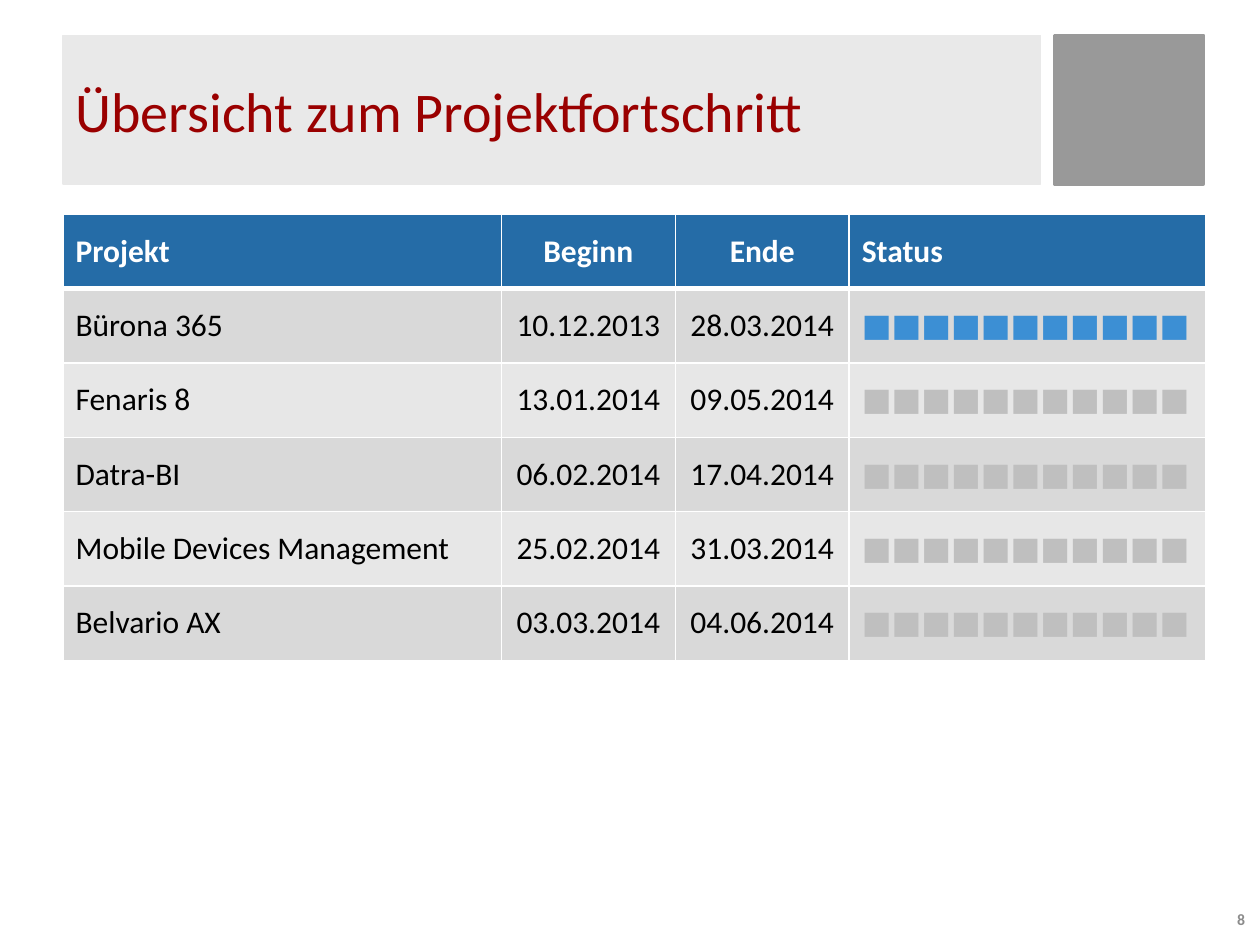
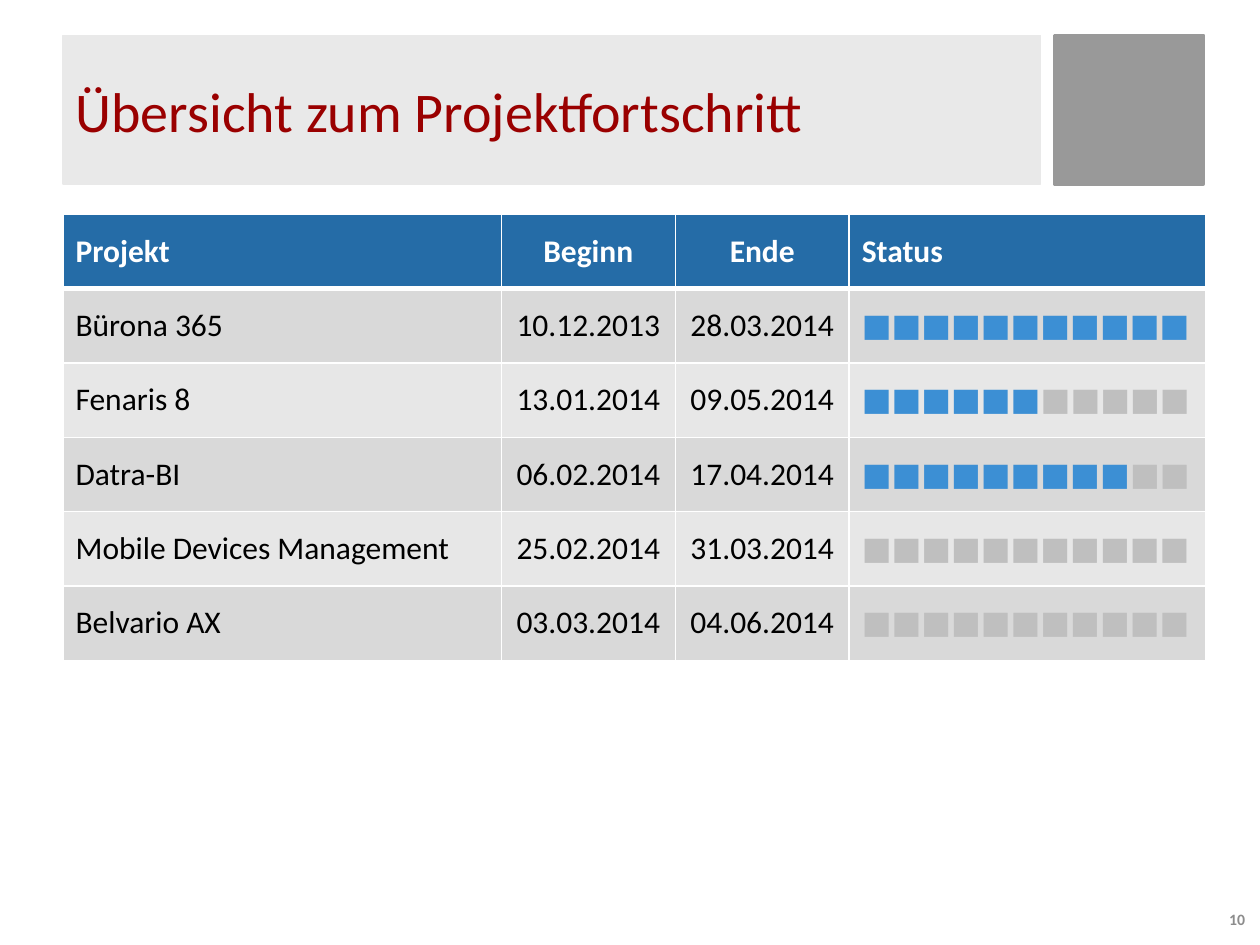
from typing import Any, NamedTuple

from lxml import etree
from pptx import Presentation
from pptx import util as u
from pptx.dml import color
from pptx.enum import shapes, text
from pptx.oxml import ns

FONT = "Calibri"
WHITE, BLACK = "FFFFFF", "000000"
RED, BAND, BLOCK = "9A0000", "E9E9E9", "999999"
HEAD, ODD, EVEN = "256CA7", "D9D9D9", "E7E7E7"
DONE, OPEN, PAGE = "3C8FD4", "BFBFBF", "8C8C8C"

LEFT, CENTER, RIGHT = text.PP_ALIGN.LEFT, text.PP_ALIGN.CENTER, text.PP_ALIGN.RIGHT
TITLE = "Übersicht zum Projektfortschritt"
STEPS = 11
ROW = 42.5


class Box(NamedTuple):
    left: float
    top: float
    width: float
    height: float


class Col(NamedTuple):
    head: str
    width: float
    align: Any


class Job(NamedTuple):
    name: str
    start: str
    end: str


class Page(NamedTuple):
    number: int
    done: tuple[int, ...]


class Run(NamedTuple):
    words: str
    hue: str


COLS = (
    Col("Projekt", 250.5, LEFT),
    Col("Beginn", 99.4, CENTER),
    Col("Ende", 99.4, CENTER),
    Col("Status", 203.7, LEFT),
)
JOBS = (
    Job("Bürona 365", "10.12.2013", "28.03.2014"),
    Job("Fenaris 8", "13.01.2014", "09.05.2014"),
    Job("Datra-BI", "06.02.2014", "17.04.2014"),
    Job("Mobile Devices Management", "25.02.2014", "31.03.2014"),
    Job("Belvario AX", "03.03.2014", "04.06.2014"),
)
PAGES = (Page(8, (11, 0, 0, 0, 0)), Page(10, (11, 6, 9, 0, 0)))

BANNER = Box(36, 20.2, 558.7, 85)
SQUARE = Box(602.6, 20.2, 85, 85)
GRID = Box(36, 122.4, sum(c.width for c in COLS), ROW * (len(JOBS) + 1))
FOOT = Box(661, 514, 57.6, 22.3)


def rgb(hue: str) -> color.RGBColor:
    return color.RGBColor.from_string(hue)


def put(item: Any, **values: Any) -> None:
    for name, value in values.items():
        setattr(item, name, value)


def pts(box: Box) -> list[u.Length]:
    return [u.Pt(n) for n in box]


def paint(shape: Any, hue: str, width: float) -> None:
    shape.fill.solid()
    shape.fill.fore_color.rgb = rgb(hue)
    shape.line.color.rgb = rgb(hue)
    shape.line.width = u.Pt(width)


def write(frame: Any, runs: list[Run], size: float, align: Any = LEFT, bold: bool = False) -> None:
    para = frame.paragraphs[0]
    para.alignment = align
    for part in runs:
        run = para.add_run()
        run.text = part.words
        put(run.font, name=FONT, size=u.Pt(size), bold=bold)
        run.font.color.rgb = rgb(part.hue)


def edge(cell: Any, side: str, width: float) -> None:
    line = etree.SubElement(cell._tc.get_or_add_tcPr(), ns.qn(f"a:ln{side}"), w=str(u.Pt(width)))
    fill = etree.SubElement(line, ns.qn("a:solidFill"))
    etree.SubElement(fill, ns.qn("a:srgbClr"), val=WHITE)


def fill_cell(cell: Any, row: int, runs: list[Run], align: Any) -> None:
    for side in "LRTB":
        thick = (row, side) in ((0, "B"), (1, "T"))
        edge(cell, side, 3 if thick else 1)
    cell.fill.solid()
    cell.fill.fore_color.rgb = rgb(HEAD if row == 0 else ODD if row % 2 else EVEN)
    cell.vertical_anchor = text.MSO_ANCHOR.MIDDLE
    write(cell.text_frame, runs, 18, align, row == 0)


def meter(done: int) -> list[Run]:
    parts = (Run("■" * done, DONE), Run("■" * (STEPS - done), OPEN))
    return [part for part in parts if part.words]


def add_grid(slide: Any, page: Page) -> None:
    table = slide.shapes.add_table(len(JOBS) + 1, len(COLS), *pts(GRID)).table
    table.horz_banding = False
    for row in table.rows:
        row.height = u.Pt(ROW)
    lines = [[[Run(c.head, WHITE)] for c in COLS]]
    for job, done in zip(JOBS, page.done):
        lines.append([[Run(words, BLACK)] for words in job] + [meter(done)])
    for x, col in enumerate(COLS):
        table.columns[x].width = u.Pt(col.width)
        for y, line in enumerate(lines):
            fill_cell(table.cell(y, x), y, line[x], col.align)


def add_frame(slide: Any, page: Page) -> None:
    square = slide.shapes.add_shape(shapes.MSO_SHAPE.RECTANGLE, *pts(SQUARE))
    square.shadow.inherit = False
    paint(square, BLOCK, 2)

    title = slide.shapes.title
    put(title, **dict(zip(Box._fields, pts(BANNER))))
    paint(title, BAND, 0.75)
    foot = slide.shapes.add_textbox(*pts(FOOT))
    for shape in (title, foot):
        put(
            shape.text_frame,
            word_wrap=True,
            auto_size=text.MSO_AUTO_SIZE.NONE,
            vertical_anchor=text.MSO_ANCHOR.MIDDLE,
        )
    write(title.text_frame, [Run(TITLE, RED)], 32)
    write(foot.text_frame, [Run(str(page.number), PAGE)], 9, RIGHT, True)


def main() -> None:
    deck = Presentation()
    put(deck, slide_width=u.Pt(720), slide_height=u.Pt(540))
    for page in PAGES:
        slide = deck.slides.add_slide(deck.slide_layouts[5])
        add_frame(slide, page)
        add_grid(slide, page)
    deck.save("out.pptx")


if __name__ == "__main__":
    main()
